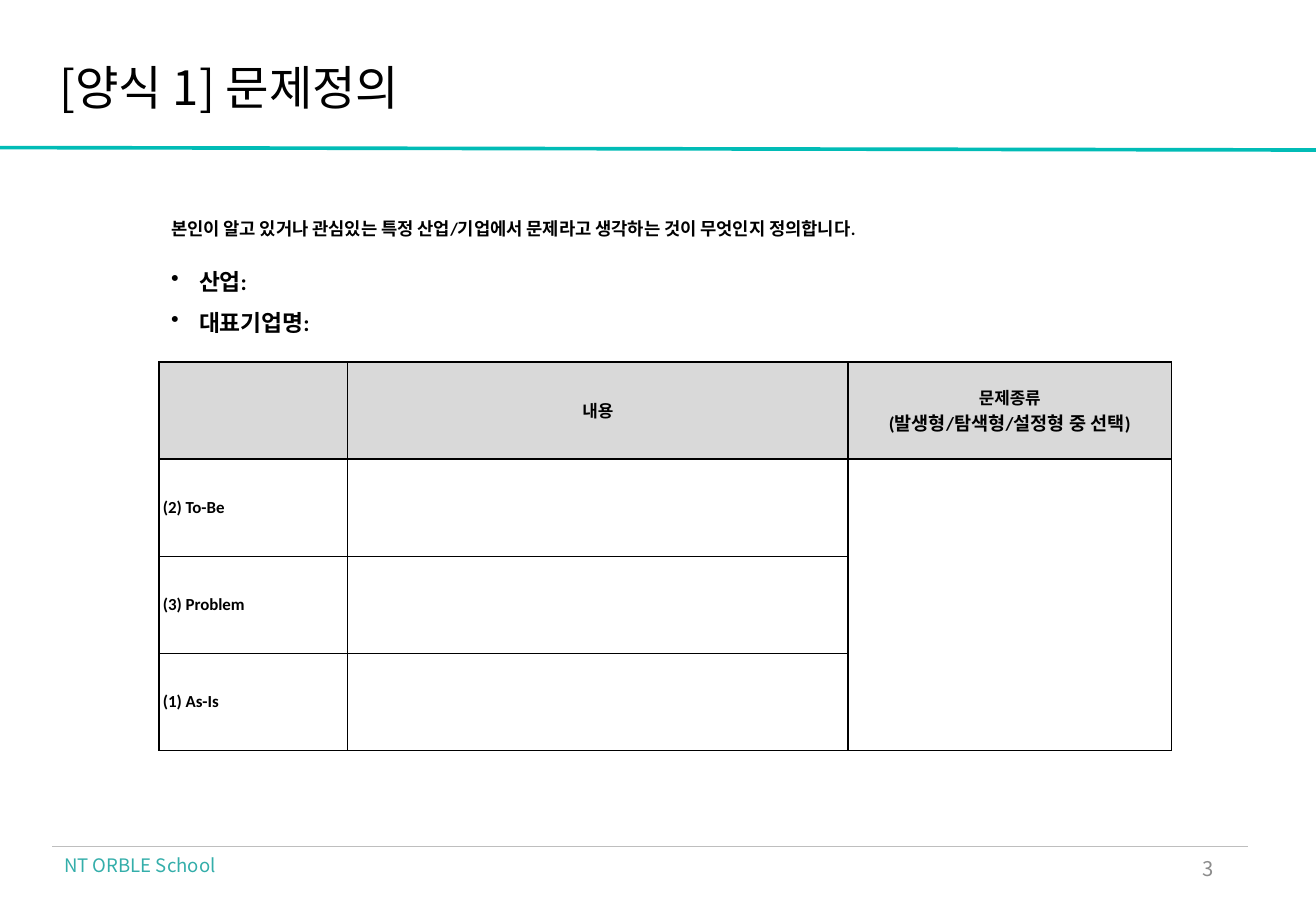
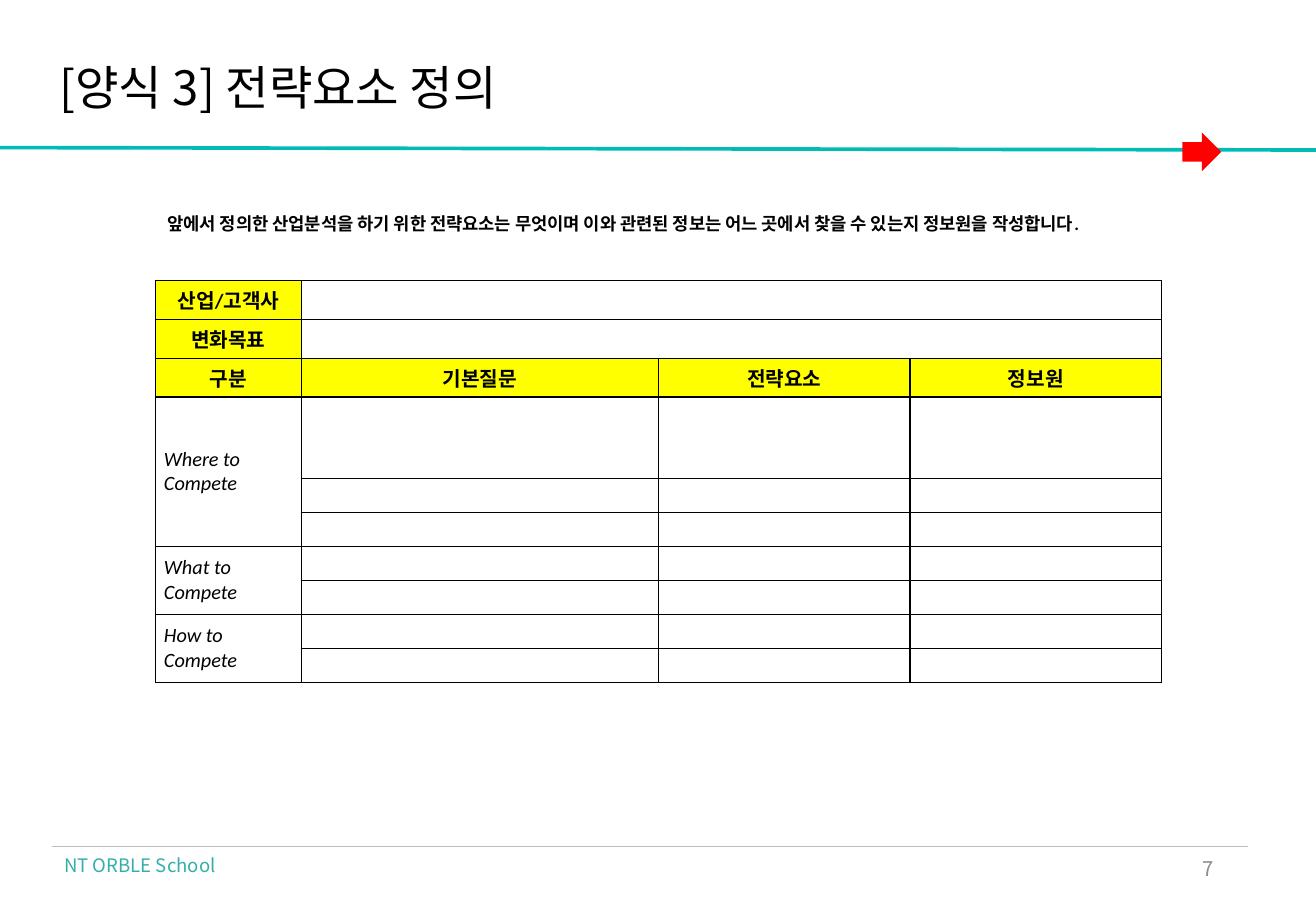
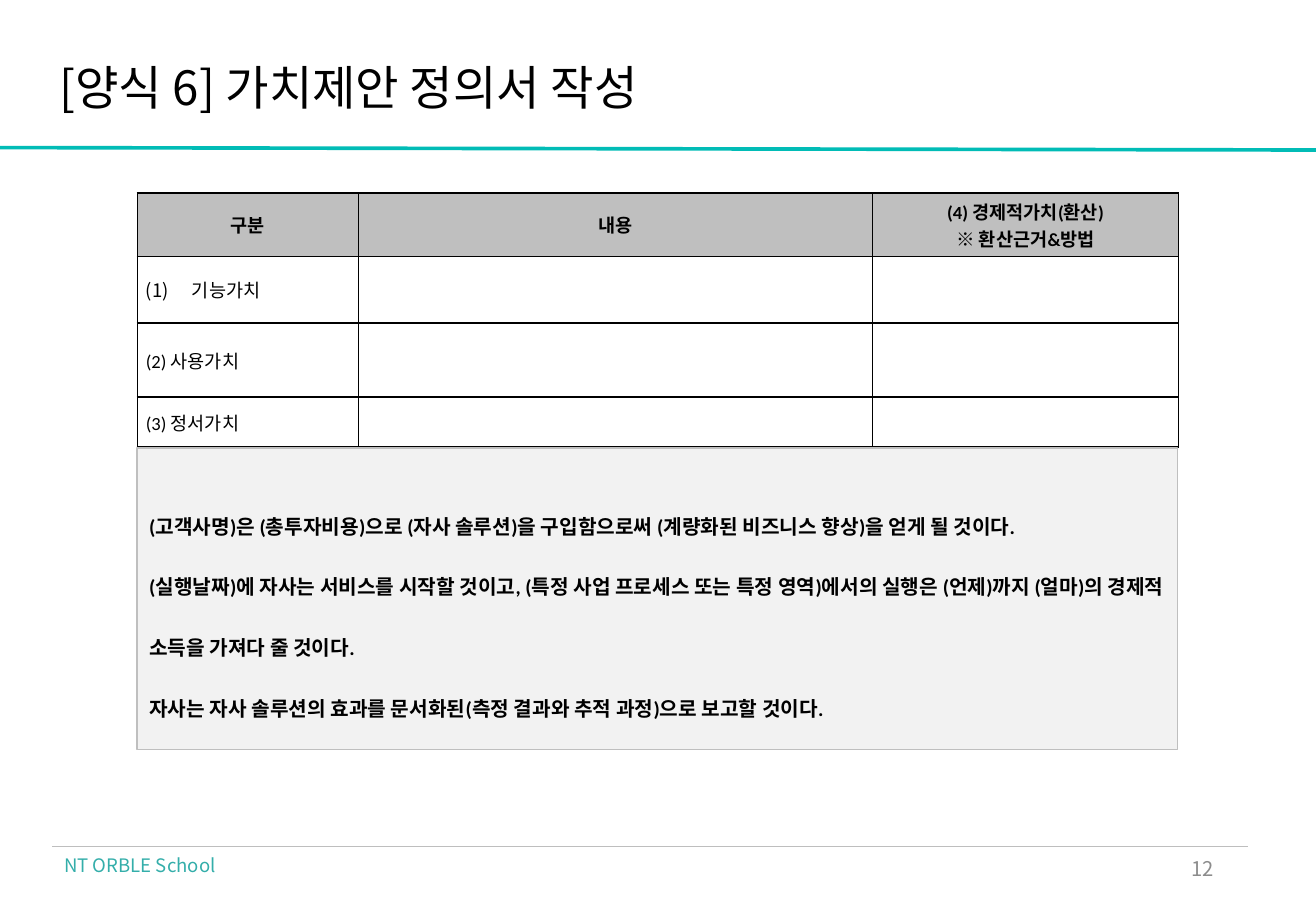
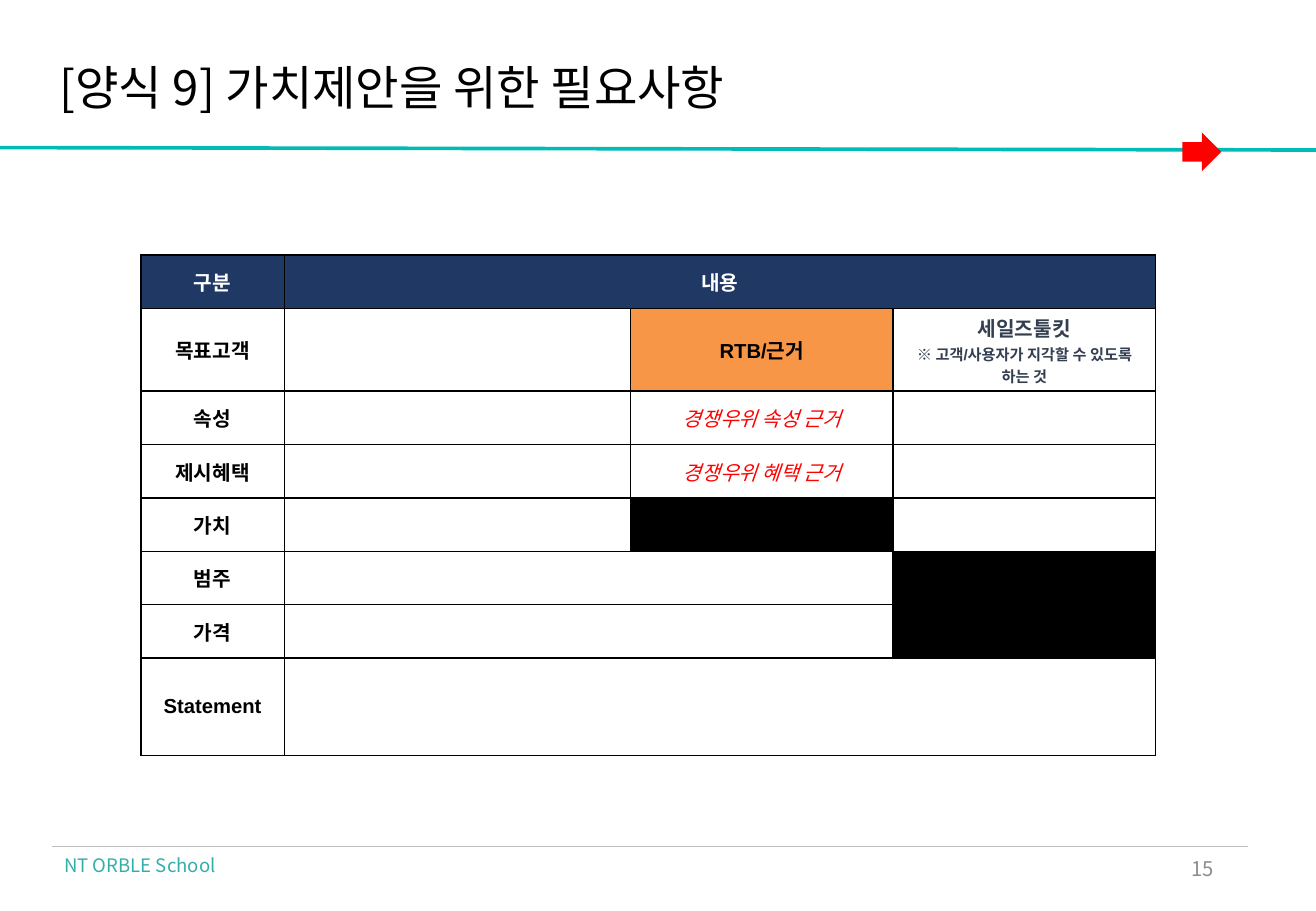
from lxml import etree
from pptx import Presentation
from pptx.dml.color import RGBColor
from pptx.enum import shapes, text
from pptx.oxml import ns
from pptx.util import Inches, Pt

BLACK = RGBColor(0x00, 0x00, 0x00)
WHITE = RGBColor(0xFF, 0xFF, 0xFF)
RED = RGBColor(0xFF, 0x00, 0x00)
YELLOW = RGBColor(0xFF, 0xFF, 0x00)
ORANGE = RGBColor(0xF7, 0x96, 0x46)
NAVY = RGBColor(0x20, 0x38, 0x64)
SLATE = RGBColor(0x33, 0x3F, 0x50)
TEAL = RGBColor(0x01, 0xBC, 0xB6)
FOOTER_TEAL = RGBColor(0x34, 0xAE, 0xAA)
NUMBER_GRAY = RGBColor(0x8C, 0x8C, 0x8C)
RULE_GRAY = RGBColor(0xBE, 0xBE, 0xBE)
HEAD_GRAY = RGBColor(0xBF, 0xBF, 0xBF)
LIGHT_GRAY = RGBColor(0xD9, 0xD9, 0xD9)
PALE_GRAY = RGBColor(0xF2, 0xF2, 0xF2)

KOREAN = "Noto Sans CJK KR"
WIDTH, HEIGHT = 10.83, 7.5
LEFT, CENTER, RIGHT = text.PP_ALIGN.LEFT, text.PP_ALIGN.CENTER, text.PP_ALIGN.RIGHT
MIDDLE = text.MSO_ANCHOR.MIDDLE


def box(left, top, width, height):
    return [Inches(v) for v in (left, top, width, height)]


def sub(parent, tag, **attrs):
    return etree.SubElement(parent, ns.qn(tag), attrs)


def set_bullet(p, indent, tag, **attrs):
    pPr = p._p.get_or_add_pPr()
    pPr.set("marL", str(Inches(indent)))
    pPr.set("indent", str(-Inches(indent)))
    sub(pPr, tag, **attrs)


def write(tf, lines, align=LEFT, spacing=None, **base):
    """Fill a text frame; a line is a string or (string, format overrides)."""
    for i, line in enumerate(lines):
        words, extra = (line, {}) if isinstance(line, str) else line
        p = tf.paragraphs[0] if i == 0 else tf.add_paragraph()
        p.alignment = align
        if spacing:
            p.line_spacing = spacing
        r = p.add_run()
        r.text = words
        fmt = {"name": "Calibri", "size": 12, "color": BLACK, **base, **extra}
        r.font.color.rgb = fmt.pop("color")
        fmt["size"] = Pt(fmt["size"])
        for key, value in fmt.items():
            setattr(r.font, key, value)
        sub(r._r.get_or_add_rPr(), "a:ea", typeface=KOREAN)


def add_text(slide, area, lines, **fmt):
    sp = slide.shapes.add_textbox(*box(*area))
    sp.text_frame.word_wrap = True
    write(sp.text_frame, lines, **fmt)
    return sp


def set_borders(cell):
    tcPr = cell._tc.get_or_add_tcPr()
    for side in ("a:lnL", "a:lnR", "a:lnT", "a:lnB"):
        ln = sub(tcPr, side, w=str(Pt(1)))
        sub(sub(ln, "a:solidFill"), "a:srgbClr", val=str(BLACK))


def add_grid(slide, left, top, cols, rows, cells, spans=(), fills=None, inset=0.07, **base):
    """Add a bordered table; cells and fills are keyed by (row, column)."""
    fills = fills or {}
    frame = slide.shapes.add_table(len(rows), len(cols),
                                   *box(left, top, sum(cols), sum(rows)))
    table = frame.table
    table.first_row = table.horz_banding = False
    for col, width in zip(table.columns, cols):
        col.width = Inches(width)
    for row, height in zip(table.rows, rows):
        row.height = Inches(height)
    for first, last in spans:
        table.cell(*first).merge(table.cell(*last))
    for r in range(len(rows)):
        for c in range(len(cols)):
            cell = table.cell(r, c)
            set_borders(cell)
            if (r, c) in fills:
                cell.fill.solid()
                cell.fill.fore_color.rgb = fills[r, c]
            else:
                cell.fill.background()
            cell.vertical_anchor = MIDDLE
            cell.margin_left = cell.margin_right = Inches(inset)
            cell.margin_top = cell.margin_bottom = Inches(0.04)
            if (r, c) in cells:
                lines, fmt = cells[r, c]
                write(cell.text_frame, lines, **{**base, **fmt})
            else:
                end = cell.text_frame.paragraphs[0]._p.get_or_add_endParaRPr()
                end.set("sz", "1000")
    return table


def add_freeform(slide, outlines):
    builder = None
    for outline in outlines:
        start, *rest = [(Inches(x), Inches(y)) for x, y in outline]
        if builder is None:
            builder = slide.shapes.build_freeform(*start)
        else:
            builder.move_to(*start)
        builder.add_line_segments(rest, close=True)
    sp = builder.convert_to_shape()
    sp.shadow.inherit = False
    return sp


def build_layout(slide, layout):
    """Draw the shared band, rule and footer and move them to the layout."""
    band = add_freeform(slide, [
        [(0, y), (0, y + d), (WIDTH, y + 0.02 + d), (WIDTH, y + 0.02)]
        for y, d in ((1.21, 0.02), (1.2, 0.01))])
    band.fill.solid()
    band.fill.fore_color.rgb = TEAL
    band.line.fill.background()

    rule = slide.shapes.add_connector(shapes.MSO_CONNECTOR.STRAIGHT, Inches(0.43),
                                      Inches(6.97), Inches(10.27), Inches(6.97))
    rule.line.color.rgb = RULE_GRAY
    rule.line.width = Pt(0.5)
    sub(rule._element.spPr, "a:effectLst")

    footer = add_text(slide, (0.43, 6.98, 1.6, 0.29), ["NT ORBLE School"],
                      name=KOREAN, size=11, color=FOOTER_TEAL)
    for part in (band, rule, footer):
        layout.shapes.element.append(part._element)


def add_form(prs, title, number):
    """Add a slide with its title and page number."""
    layout = prs.slide_layouts[5]
    slide = prs.slides.add_slide(layout)
    if len(prs.slides) == 1:
        build_layout(slide, layout)
    sp = slide.shapes.title
    sp.left, sp.top, sp.width, sp.height = box(0.49, 0.53, 9.78, 0.42)
    tf = sp.text_frame
    tf.auto_size = text.MSO_AUTO_SIZE.NONE
    tf.vertical_anchor = MIDDLE
    for side in ("left", "right", "top", "bottom"):
        setattr(tf, f"margin_{side}", 0)
    write(tf, [title], spacing=0.9, name=KOREAN, size=28)
    page = add_text(slide, (7.65, 6.95, 2.44, 0.4), [str(number)], align=RIGHT,
                    name=KOREAN, color=NUMBER_GRAY)
    page.text_frame.vertical_anchor = MIDDLE
    return slide


def add_arrow(slide):
    sp = slide.shapes.add_shape(shapes.MSO_SHAPE.RIGHT_ARROW, *box(9.73, 1.09, 0.32, 0.32))
    sp.shadow.inherit = False
    sp.fill.solid()
    sp.fill.fore_color.rgb = RED
    sp.line.fill.background()


def problem_slide(prs):
    slide = add_form(prs, "[양식 1] 문제정의", 3)
    left = 1.31
    add_text(slide, (left, 1.74, 7.94, 0.28),
             ["본인이 알고 있거나 관심있는 특정 산업/기업에서 문제라고 생각하는 것이 무엇인지 정의합니다."],
             size=10.5, bold=True)
    mid = {"align": CENTER}
    cells = {(0, 1): (["내용"], mid),
             (0, 2): (["문제종류", ("(발생형/탐색형/설정형 중 선택)", {"size": 11})], mid)}
    for r, label in enumerate(("(2) To-Be", "(3) Problem", "(1) As-Is"), 1):
        cells[r, 0] = ([label], {})
    add_grid(slide, left, 2.98, [1.55, 4.12, 2.66], [0.8] * 4, cells,
             spans=[((1, 2), (3, 2))], fills={(0, c): LIGHT_GRAY for c in range(3)},
             inset=0.03, size=10, bold=True)
    sp = add_text(slide, (left, 2.04, 6.26, 0.75), ["산업:", "대표기업명:"],
                  spacing=1.5, size=13.5, bold=True)
    for p in sp.text_frame.paragraphs:
        set_bullet(p, 0.23, "a:buChar", char="•")


def strategy_slide(prs):
    slide = add_form(prs, "[양식 3] 전략요소 정의", 7)
    left = 1.28
    head = {"align": CENTER, "bold": True}
    cells = {(r, 0): ([s], head) for r, s in enumerate(("산업/고객사", "변화목표", "구분"))}
    cells.update({(2, c): ([s], head)
                  for c, s in enumerate(("기본질문", "전략요소", "정보원"), 1)})
    fills = {key: YELLOW for key in cells}
    spans = [((r, 1), (r, 3)) for r in (0, 1)]
    for word, first, last in (("Where", 3, 5), ("What", 6, 7), ("How", 8, 9)):
        cells[first, 0] = ([f"{word} to Compete"], {"italic": True})
        spans.append(((first, 0), (last, 0)))
    add_grid(slide, left, 2.31, [1.2, 2.94, 2.07, 2.07],
             [0.32] * 3 + [0.67] + [0.28] * 6, cells, spans, fills)
    add_text(slide, (left, 1.7, 8.74, 0.28),
             ["앞에서 정의한 산업분석을 하기 위한 전략요소는 무엇이며 이와 관련된 정보는 "
              "어느 곳에서 찾을 수 있는지 정보원을 작성합니다."], size=10.5, bold=True)
    add_arrow(slide)


def value_slide(prs):
    slide = add_form(prs, "[양식 6] 가치제안 정의서 작성", 12)
    left, width = 1.13, 8.56
    heads = (["구분"], ["내용"], ["(4) 경제적가치(환산)", "※ 환산근거&방법"])
    cells = {(0, c): (lines, {"align": CENTER, "bold": True})
             for c, lines in enumerate(heads)}
    for r, label in enumerate(("기능가치", "(2) 사용가치", "(3) 정서가치"), 1):
        cells[r, 0] = ([label], {})
    table = add_grid(slide, left, 1.59, [1.82, 4.23, 2.52], [0.52, 0.55, 0.61, 0.41],
                     cells, fills={(0, c): HEAD_GRAY for c in range(3)}, size=11)
    set_bullet(table.cell(1, 0).text_frame.paragraphs[0], 0.38,
               "a:buAutoNum", type="arabicParenBoth")

    sp = slide.shapes.add_shape(shapes.MSO_SHAPE.RECTANGLE, *box(left, 3.69, width, 2.48))
    sp.shadow.inherit = False
    sp.fill.solid()
    sp.fill.fore_color.rgb = PALE_GRAY
    sp.line.color.rgb = HEAD_GRAY
    sp.line.width = Pt(1)
    sp.text_frame.word_wrap = True
    sp.text_frame.vertical_anchor = MIDDLE
    write(sp.text_frame, [
        "(고객사명)은 (총투자비용)으로 (자사 솔루션)을 구입함으로써 "
        "(계량화된 비즈니스 향상)을 얻게 될 것이다.",
        "(실행날짜)에 자사는 서비스를 시작할 것이고, (특정 사업 프로세스 또는 특정 영역)에서의 "
        "실행은 (언제)까지 (얼마)의 경제적 소득을 가져다 줄 것이다.",
        "자사는 자사 솔루션의 효과를 문서화된(측정 결과와 추적 과정)으로 보고할 것이다.",
    ], spacing=2.5, bold=True)


def needs_slide(prs):
    slide = add_form(prs, "[양식 9] 가치제안을 위한 필요사항", 15)
    head = {"color": WHITE}
    evidence = {"color": RED, "bold": False, "italic": True}
    labels = ("목표고객", "속성", "제시혜택", "가치", "범주", "가격", "Statement")
    cells = {(r, 0): ([label], {}) for r, label in enumerate(labels, 1)}
    cells.update({
        (0, 0): (["구분"], head),
        (0, 1): (["내용"], head),
        (1, 2): (["RTB/근거"], {}),
        (1, 3): (["세일즈툴킷", ("※ 고객/사용자가 지각할 수 있도록 하는 것", {"size": 9})],
                 {"color": SLATE}),
        (2, 2): (["경쟁우위 속성 근거"], evidence),
        (3, 2): (["경쟁우위 혜택 근거"], evidence),
    })
    fills = {(0, c): NAVY for c in range(4)}
    fills.update({(1, 2): ORANGE, (4, 2): BLACK, (5, 3): BLACK, (6, 3): BLACK})
    fills.update({key: WHITE for key in ((1, 3), (2, 2), (2, 3))})
    spans = [((0, 1), (0, 3)), ((5, 1), (5, 2)), ((6, 1), (6, 2)),
             ((5, 3), (6, 3)), ((7, 1), (7, 3))]
    add_grid(slide, 1.16, 2.1, [1.18, 2.85, 2.16, 2.16],
             [0.44, 0.68] + [0.44] * 5 + [0.8], cells, spans, fills,
             align=CENTER, name="Arial", bold=True)
    add_arrow(slide)


def main():
    prs = Presentation()
    prs.slide_width, prs.slide_height = Inches(WIDTH), Inches(HEIGHT)
    for build in (problem_slide, strategy_slide, value_slide, needs_slide):
        build(prs)
    prs.save("out.pptx")


if __name__ == "__main__":
    main()
